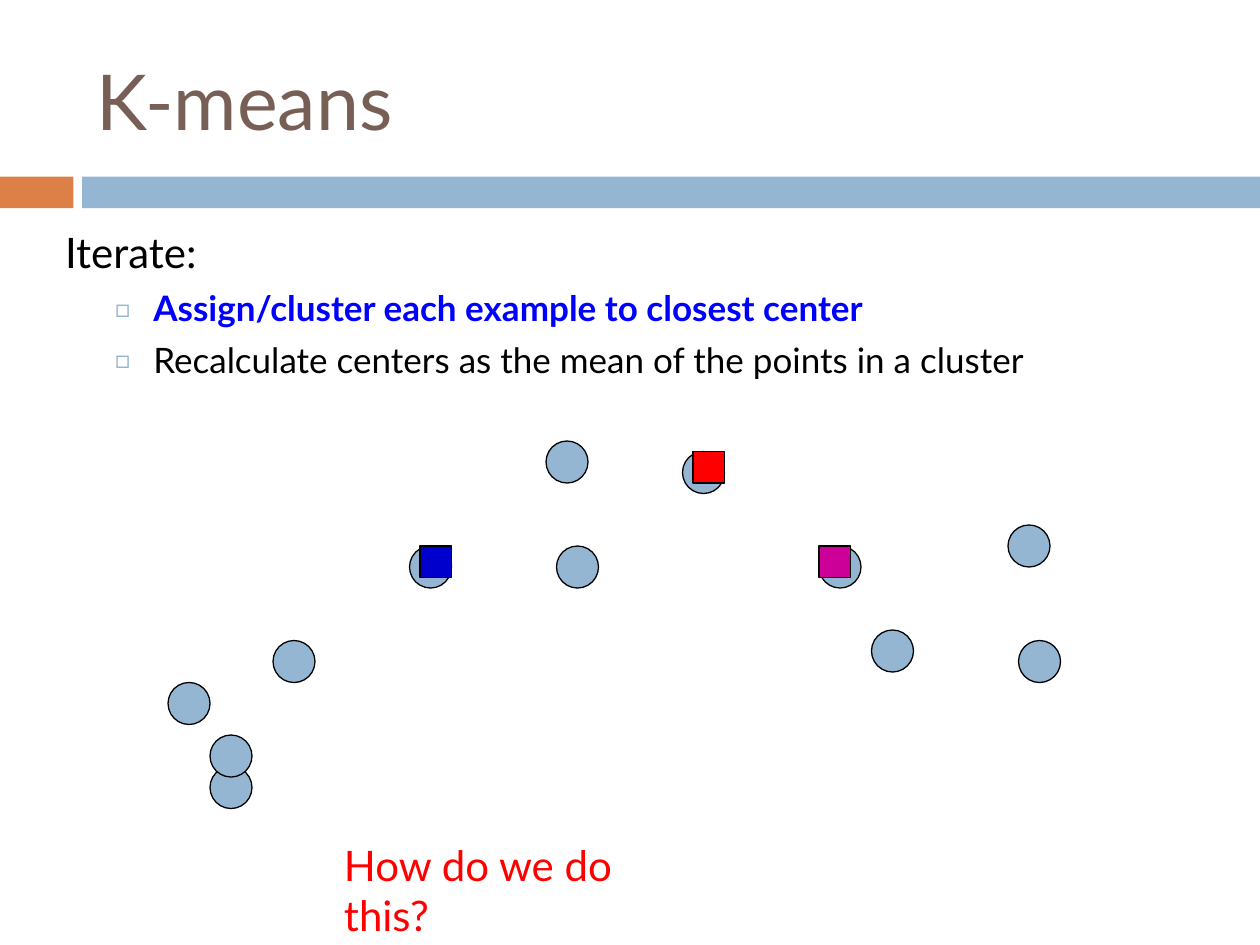
from lxml import etree
from pptx import Presentation
from pptx.dml.color import RGBColor
from pptx.enum import shapes, text
from pptx.oxml.ns import qn
from pptx.util import Pt

FONT = "Lato"
BLUE = "94B6D2"
BLACK = "000000"
RED = "FF0000"
STEP = 6
DOTS = [(4, 31), (0, 23), (10, 19), (80, 8), (36, 0), (49, 1),
        (37, 10), (23, 10), (81, 19), (62, 10), (4, 28), (67, 18)]
CENTERS = [(24, 10, "0000CC"), (50, 1, RED), (62, 10, "CC0099")]
STEPS = [("Assign/cluster each example to closest center", "0000FF", True),
         ("Recalculate centers as the mean of the points in a cluster", BLACK, False)]


def paint(target, color):
    if hasattr(target, "solid"):
        target.solid()
        target.fore_color.rgb = RGBColor.from_string(color)
    else:
        target.color.rgb = RGBColor.from_string(color)


def style(para, size, color, bold=False):
    para.alignment = text.PP_ALIGN.LEFT
    para.font.name = FONT
    para.font.size = Pt(size)
    para.font.bold = bold
    paint(para.font, color)


def place(shape, box):
    shape.left, shape.top, shape.width, shape.height = map(Pt, box)


def draw(slide, kind, box, color, line=None):
    shape = slide.shapes.add_shape(kind, *map(Pt, box))
    shape.shadow.inherit = False
    paint(shape.fill, color)
    if line:
        paint(shape.line, line)
        shape.line.width = Pt(0.75)
    else:
        shape.line.fill.background()


def indent(para, left, hang, mark=None):
    props = para._p.get_or_add_pPr()
    props.set("marL", str(Pt(left)))
    props.set("indent", str(Pt(-hang)))
    if not mark:
        etree.SubElement(props, qn("a:buNone"))
        return
    tint = etree.SubElement(props, qn("a:buClr"))
    etree.SubElement(tint, qn("a:srgbClr"), val=BLUE)
    etree.SubElement(props, qn("a:buSzPct"), val="70000")
    etree.SubElement(props, qn("a:buFont"), typeface=FONT)
    etree.SubElement(props, qn("a:buChar"), char=mark)


def add_band(slide, box):
    left, top, width, height = box
    tab, gap = 42, 5
    rect = shapes.MSO_SHAPE.RECTANGLE
    draw(slide, rect, (left, top, tab, height), "DD8047")
    draw(slide, rect, (left + tab + gap, top, width - tab - gap, height), BLUE)


def add_title(slide, box):
    title = slide.shapes.title
    place(title, box)
    frame = title.text_frame
    frame.text = "K-means"
    frame.vertical_anchor = text.MSO_ANCHOR.MIDDLE
    frame.auto_size = text.MSO_AUTO_SIZE.NONE
    style(frame.paragraphs[0], 44, "775F55")


def add_list(slide, box):
    body = slide.placeholders[1]
    place(body, box)
    frame = body.text_frame
    frame.auto_size = text.MSO_AUTO_SIZE.NONE
    head = frame.paragraphs[0]
    head.text = "Iterate:"
    head.space_before = Pt(7)
    style(head, 24, BLACK)
    indent(head, 0, 0)
    for words, color, bold in STEPS:
        para = frame.add_paragraph()
        para.text = words
        para.level = 1
        para.space_before = Pt(5.5)
        style(para, 20, color, bold)
        indent(para, 50.4, 21.6, "□")


def add_points(slide, left, top):
    def mark(kind, col, row, size, color):
        box = (left + col * STEP, top + row * STEP, size, size)
        draw(slide, kind, box, color, BLACK)

    for col, row in DOTS:
        mark(shapes.MSO_SHAPE.OVAL, col, row, 24, BLUE)
    for col, row, color in CENTERS:
        mark(shapes.MSO_SHAPE.RECTANGLE, col, row, 18, color)


def add_query(slide, box):
    frame = slide.shapes.add_textbox(*map(Pt, box)).text_frame
    frame.word_wrap = True
    frame.text = "How do we do this?"
    style(frame.paragraphs[0], 24, RED)


def main():
    deck = Presentation()
    deck.slide_width, deck.slide_height = Pt(720), Pt(540)
    slide = deck.slides.add_slide(deck.slide_layouts[1])
    add_band(slide, (0, 101, 720, 18))
    add_title(slide, (48, 18, 642, 78))
    add_list(slide, (30, 126, 642, 102))
    add_points(slide, 96, 252)
    add_query(slide, (189.5, 476, 202, 36))
    deck.save("out.pptx")


if __name__ == "__main__":
    main()
